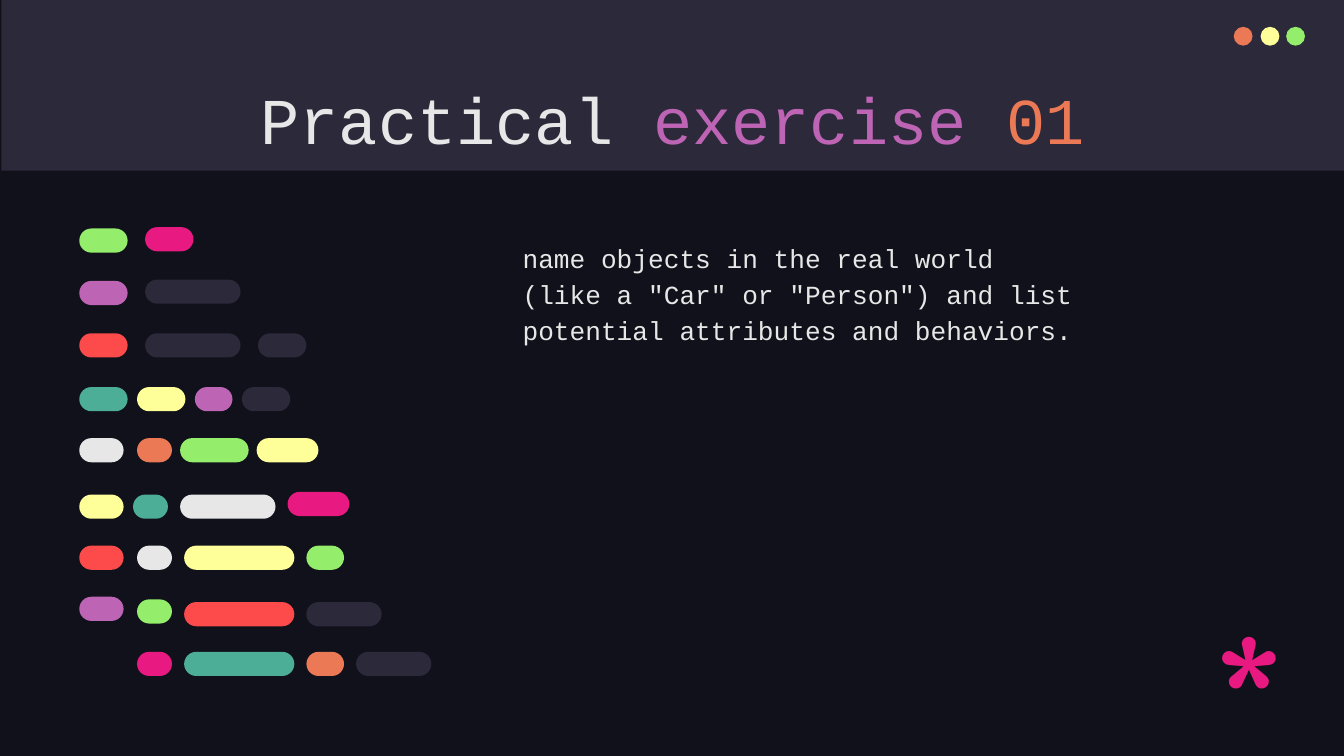
from typing import NamedTuple

from pptx import Presentation
from pptx.dml.color import RGBColor
from pptx.enum import shapes as s, text as t
from pptx.util import Inches, Pt

NIGHT = RGBColor(0x10, 0x11, 0x1A)
SLATE = RGBColor(0x2C, 0x29, 0x3A)
WHITE = RGBColor(0xE7, 0xE7, 0xE7)
CORAL = RGBColor(0xEC, 0x79, 0x55)
CREAM = RGBColor(0xFF, 0xFF, 0x99)
GREEN = RGBColor(0x94, 0xEE, 0x6B)
PINK = RGBColor(0xE8, 0x1A, 0x81)
PLUM = RGBColor(0xBD, 0x64, 0xB5)
RED = RGBColor(0xFD, 0x4A, 0x4A)
TEAL = RGBColor(0x4C, 0xAE, 0x97)

MONO = "Courier New"
SHAPE = s.MSO_SHAPE


class Box(NamedTuple):
    left: float
    top: float
    width: float
    height: float


class Pill(NamedTuple):
    left: float
    width: float
    color: RGBColor
    shift: float = 0


class Row(NamedTuple):
    top: float
    pills: list[Pill]


class Span(NamedTuple):
    words: str
    color: RGBColor = WHITE


ROWS = [
    Row(1.70, [Pill(0.59, 0.36, GREEN), Pill(1.08, 0.36, PINK, -0.01)]),
    Row(2.09, [Pill(0.59, 0.36, PLUM), Pill(1.08, 0.71, SLATE, -0.01)]),
    Row(2.48, [Pill(0.59, 0.36, RED), Pill(1.08, 0.71, SLATE),
               Pill(1.92, 0.36, SLATE)]),
    Row(2.88, [Pill(0.59, 0.36, TEAL), Pill(1.02, 0.36, CREAM),
               Pill(1.45, 0.28, PLUM), Pill(1.80, 0.36, SLATE)]),
    Row(3.26, [Pill(0.59, 0.33, WHITE), Pill(1.02, 0.26, CORAL),
               Pill(1.34, 0.51, GREEN), Pill(1.91, 0.46, CREAM)]),
    Row(3.68, [Pill(0.59, 0.33, CREAM), Pill(0.99, 0.26, TEAL),
               Pill(1.34, 0.71, WHITE), Pill(2.14, 0.46, PINK, -0.02)]),
    Row(4.06, [Pill(0.59, 0.33, RED), Pill(1.02, 0.26, WHITE),
               Pill(1.37, 0.82, CREAM), Pill(2.28, 0.28, GREEN)]),
    Row(4.46, [Pill(0.59, 0.33, PLUM, -0.02), Pill(1.02, 0.26, GREEN),
               Pill(1.37, 0.82, RED, 0.02), Pill(2.28, 0.56, SLATE, 0.02)]),
    Row(4.85, [Pill(1.02, 0.26, PINK), Pill(1.37, 0.82, TEAL),
               Pill(2.28, 0.28, CORAL), Pill(2.65, 0.56, SLATE)]),
]


def draw(page, kind: SHAPE, box: Box, color: RGBColor):
    shape = page.shapes.add_shape(kind, *map(Inches, box))
    shape.shadow.inherit = False
    shape.fill.solid()
    shape.fill.fore_color.rgb = color
    shape.line.fill.background()
    return shape


def write(page, box: Box, lines: list[list[Span]], size: float,
          font: str = MONO, align=t.PP_ALIGN.LEFT, pitch: float = 1.0) -> None:
    frame = page.shapes.add_textbox(*map(Inches, box)).text_frame
    frame.word_wrap = True
    frame.vertical_anchor = t.MSO_ANCHOR.TOP
    frame.margin_left = frame.margin_right = Inches(0.1)
    frame.margin_top = frame.margin_bottom = Inches(0.1)
    for i, line in enumerate(lines):
        para = frame.add_paragraph() if i else frame.paragraphs[0]
        para.alignment = align
        para.line_spacing = pitch
        for span in line:
            run = para.add_run()
            run.text = span.words
            run.font.name = font
            run.font.size = Pt(size)
            run.font.color.rgb = span.color


def main() -> None:
    deck = Presentation()
    deck.slide_width = Inches(10)
    deck.slide_height = Inches(10 * 9 / 16)
    page = deck.slides.add_slide(deck.slide_layouts[6])
    page.background.fill.solid()
    page.background.fill.fore_color.rgb = NIGHT

    draw(page, SHAPE.RECTANGLE, Box(0.01, 0, 10, 1.27), SLATE)
    for left, color in zip([9.18, 9.38, 9.57], [CORAL, CREAM, GREEN]):
        draw(page, SHAPE.OVAL, Box(left, 0.2, 0.14, 0.14), color)

    write(page, Box(0.79, 0.49, 8.43, 0.63),
          [[Span("Practical "), Span("exercise ", PLUM), Span("01", CORAL)]],
          35, align=t.PP_ALIGN.CENTER)

    for row in ROWS:
        for pill in row.pills:
            box = Box(pill.left, row.top + pill.shift, pill.width, 0.18)
            shape = draw(page, SHAPE.ROUNDED_RECTANGLE, box, pill.color)
            shape.adjustments[0] = 0.5

    write(page, Box(3.79, 1.67, 5.43, 3.36),
          [[Span("name objects in the real world")],
           [Span('(like a "Car" or "Person") and list '
                 "potential attributes and behaviors.")]],
          14, pitch=1.15)
    write(page, Box(8.94, 4.35, 0.57, 0.87), [[Span("*", PINK)]],
          96, font="Comfortaa")
    deck.save("out.pptx")


if __name__ == "__main__":
    main()
